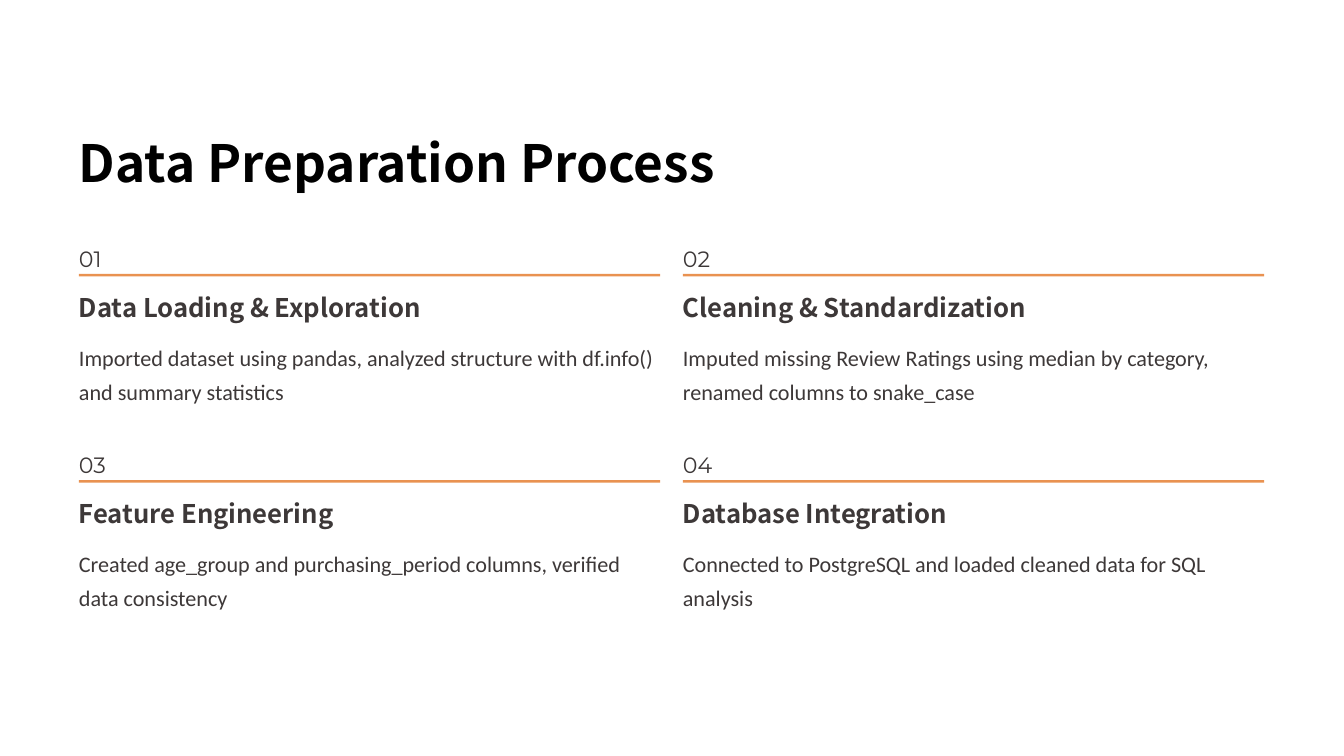
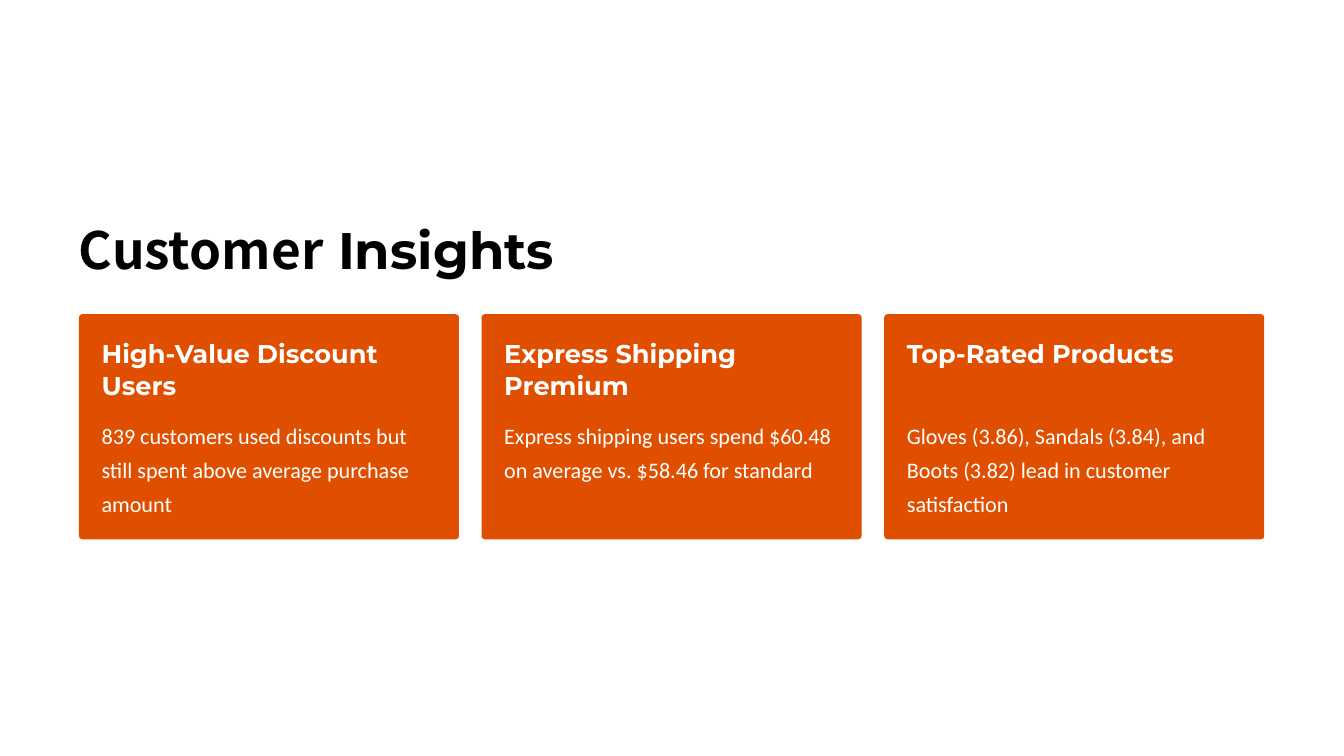
from dataclasses import dataclass

from pptx import Presentation, util as u
from pptx.dml.color import RGBColor
from pptx.enum import shapes, text

STEPS = [
    ("01", "Data Loading & Exploration",
     "Imported dataset using pandas, analyzed structure with df.info() and summary statistics"),
    ("02", "Cleaning & Standardization",
     "Imputed missing Review Ratings using median by category, renamed columns to snake_case"),
    ("03", "Feature Engineering",
     "Created age_group and purchasing_period columns, verified data consistency"),
    ("04", "Database Integration",
     "Connected to PostgreSQL and loaded cleaned data for SQL analysis"),
]
INSIGHTS = [
    ("High-Value Discount Users",
     "839 customers used discounts but still spent above average purchase amount"),
    ("Express Shipping Premium",
     "Express shipping users spend $60.48 on average vs. $58.46 for standard"),
    ("Top-Rated Products",
     "Gloves (3.86), Sandals (3.84), and Boots (3.82) lead in customer satisfaction"),
]


@dataclass(frozen=True)
class Style:
    font: str
    size: int
    leading: float
    bold: bool = False


class Theme:
    black, ink, white = "000000", "3D3838", "FFFFFF"
    rule, card = "E99251", "E04F00"
    sans, display, copy = "Noto Sans CJK SC", "Montserrat", "Calibri"
    title = Style(sans, 44, 55, True)
    step_head = Style(sans, 22, 27.5, True)
    card_head = Style(display, 22, 27.5, True)
    number = Style(display, 19, 29)
    body = Style(copy, 19, 29)


# 100 px to the inch
SLIDE_W, SLIDE_H = 1600, 900
LEFT, CONTENT_W, GAP = 94, 1411, 27


def px(n):
    return u.Emu(round(n * 9144))


def box(x, y, w, h):
    return px(x), px(y), px(w), px(h)


def columns(count):
    """Return the left edges and the shared width of equal columns."""
    w = (CONTENT_W - GAP * (count - 1)) / count
    return [LEFT + i * (w + GAP) for i in range(count)], w


def write(sp, parts, style, color):
    """Fill a shape with one paragraph made of (text, font) parts."""
    tf = sp.text_frame
    tf.margin_left = tf.margin_right = tf.margin_top = tf.margin_bottom = 0
    tf.word_wrap = True
    tf.auto_size = text.MSO_AUTO_SIZE.NONE
    tf.vertical_anchor = text.MSO_ANCHOR.TOP
    p = tf.paragraphs[0]
    p.alignment = text.PP_ALIGN.LEFT
    p.line_spacing = u.Pt(style.leading)
    for words, font in parts:
        r = p.add_run()
        r.text = words
        r.font.name, r.font.size, r.font.bold = font, u.Pt(style.size), style.bold
        r.font.color.rgb = RGBColor.from_string(color)


def add_text(s, words, style, color, *at):
    write(s.shapes.add_textbox(*box(*at)), [(words, style.font)], style, color)


def add_block(s, kind, color, *at):
    sp = s.shapes.add_shape(kind, *box(*at))
    sp.shadow.inherit = False
    sp.fill.solid()
    sp.fill.fore_color.rgb = RGBColor.from_string(color)
    sp.line.fill.background()
    return sp


def add_slide(prs, title_parts, title_top):
    s = prs.slides.add_slide(prs.slide_layouts[5])
    title = s.shapes.title
    title.left, title.top, title.width, title.height = box(LEFT, title_top, CONTENT_W, 77)
    write(title, title_parts, Theme.title, Theme.black)
    return s


def preparation_slide(prs):
    s = add_slide(prs, [("Data Preparation Process", Theme.sans)], 153)
    lefts, w = columns(2)
    for i, (number, head, body) in enumerate(STEPS):
        row, col = divmod(i, 2)
        x, y = lefts[col], 283 + row * 245.5
        add_text(s, number, Theme.number, Theme.ink, x, y, w, 34)
        add_block(s, shapes.MSO_SHAPE.RECTANGLE, Theme.rule, x, y + 43, w, 3)
        add_text(s, head, Theme.step_head, Theme.ink, x, y + 63, w, 38)
        add_text(s, body, Theme.body, Theme.ink, x, y + 118, w, 81)


def insights_slide(prs):
    s = add_slide(prs, [("Customer", Theme.sans), (" Insights", Theme.display)], 257)
    top, pad = 374, 27
    lefts, w = columns(3)
    for x, (head, body) in zip(lefts, INSIGHTS):
        card = add_block(s, shapes.MSO_SHAPE.ROUNDED_RECTANGLE, Theme.card, x, top, w, 268)
        card.adjustments[0] = 0.015
        inner = w - 2 * pad
        add_text(s, head, Theme.card_head, Theme.white, x + pad, top + pad, inner, 77)
        add_text(s, body, Theme.body, Theme.white, x + pad, top + 120, inner, 121)


def main():
    prs = Presentation()
    prs.slide_width, prs.slide_height = px(SLIDE_W), px(SLIDE_H)
    preparation_slide(prs)
    insights_slide(prs)
    prs.save("out.pptx")


if __name__ == "__main__":
    main()
